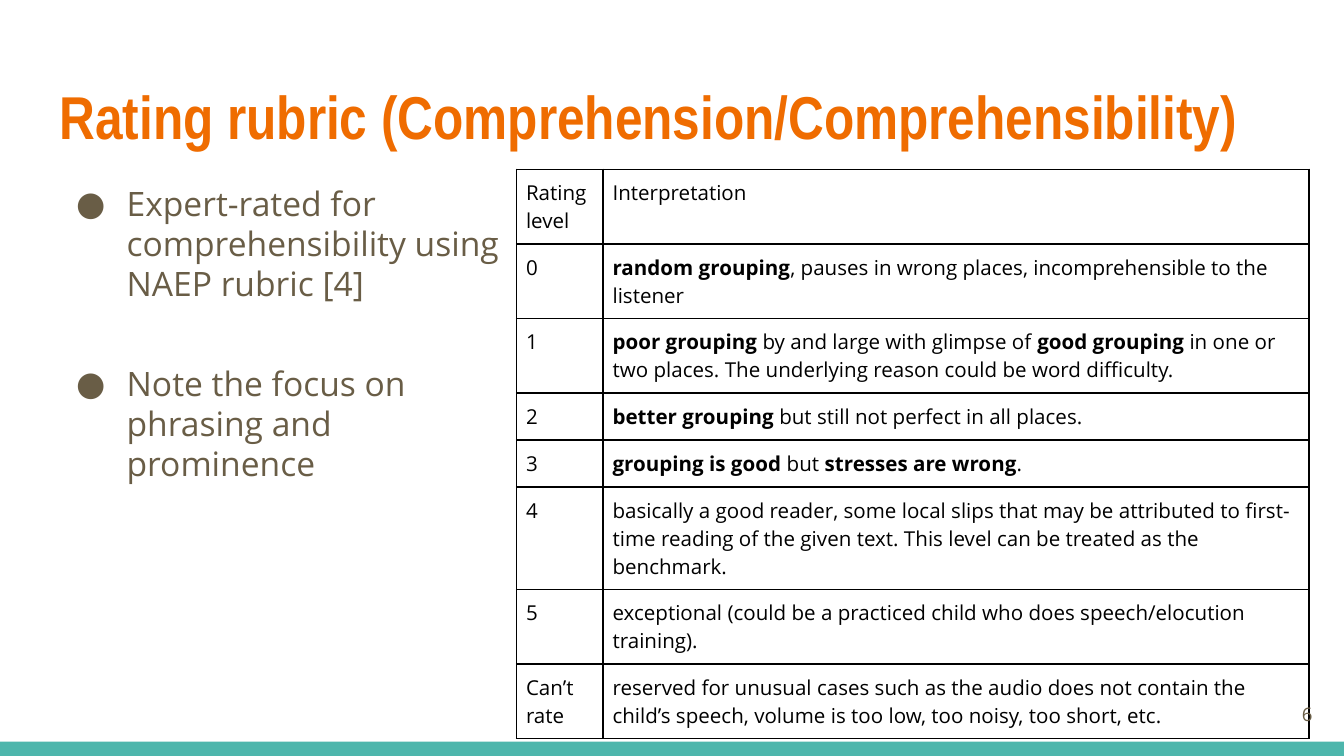
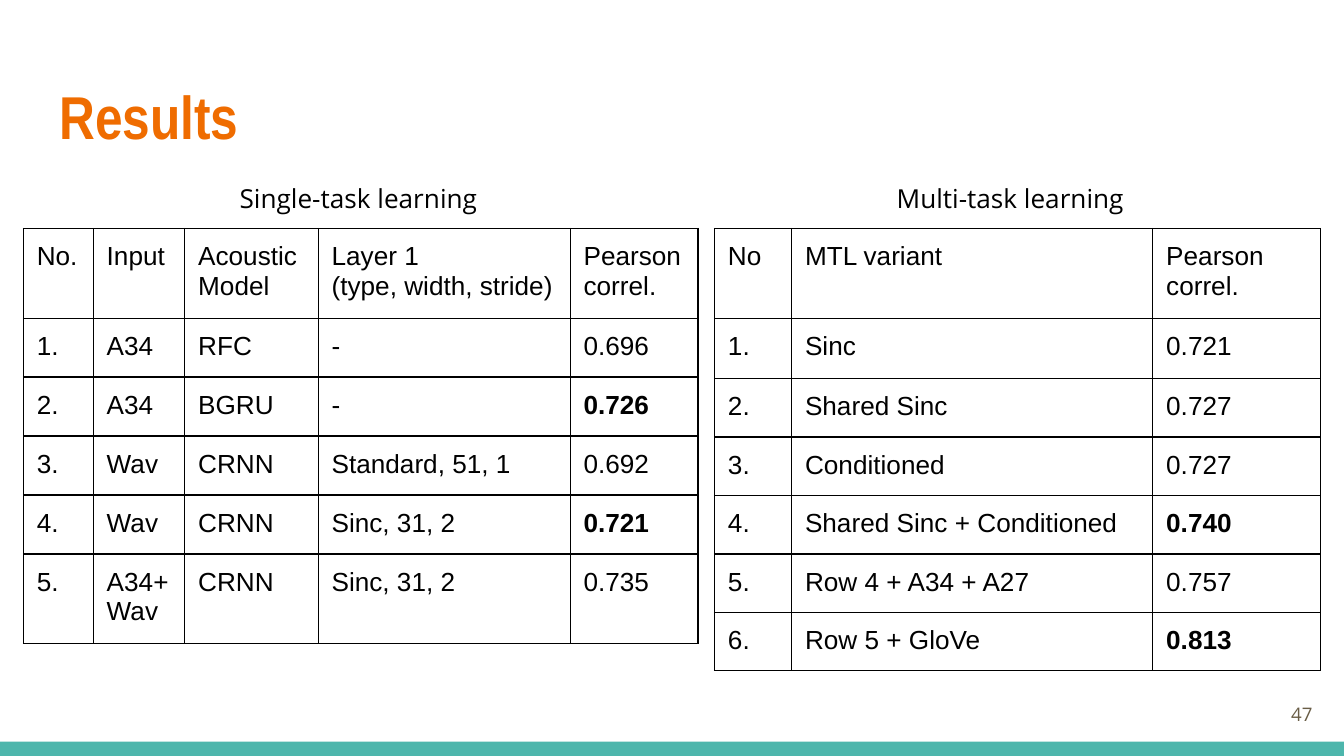
from dataclasses import dataclass

from lxml.etree import SubElement
from pptx import Presentation
from pptx.dml.color import RGBColor
from pptx.enum.shapes import MSO_SHAPE
from pptx.enum.text import MSO_ANCHOR, PP_ALIGN
from pptx.oxml import parse_xml
from pptx.oxml.ns import nsdecls, qn
from pptx.slide import Slide
from pptx.table import _Cell
from pptx.text.text import TextFrame
from pptx.util import Pt

ORANGE = RGBColor(0xEF, 0x6C, 0x00)
TEAL = RGBColor(0x4D, 0xB6, 0xAC)
BROWN = RGBColor(0x69, 0x5D, 0x46)
BLACK = RGBColor(0, 0, 0)
WHITE = RGBColor(0xFF, 0xFF, 0xFF)

TITLE_FONT = "Arial Narrow"
BODY_FONT = "Open Sans"
TABLE_FONT = "Arial"

SLIDE_WIDTH, SLIDE_HEIGHT = 720, 405
BAND_HEIGHT = 7.6
MARGIN = 24.8
CONTENT_TOP = 90.7
RESULTS_TOP = 122.4


@dataclass(frozen=True)
class Box:
    left: float
    top: float
    width: float
    height: float


@dataclass(frozen=True)
class Grid:
    """A bordered table; all lengths are in points."""
    left: float
    top: float
    columns: list[float]
    heights: list[float]
    rows: list[list[str]]
    font: str = TABLE_FONT
    size: float = 14
    inset: float = 7.2
    border: float = 0.75


@dataclass(frozen=True)
class Caption:
    text: str
    left: float


RUBRIC = Grid(
    276.8, CONTENT_TOP, [46.4, 378], [40, 40, 40, 25.1, 25.1, 54.9, 40, 40],
    [
        ["Rating level", "Interpretation"],
        ["0", "**random grouping**, pauses in wrong places, incomprehensible to the listener"],
        ["1", "**poor grouping** by and large with glimpse of **good grouping** in one or "
              "two places. The underlying reason could be word difficulty."],
        ["2", "**better grouping** but still not perfect in all places."],
        ["3", "**grouping is good** but **stresses are wrong**."],
        ["4", "basically a good reader, some local slips that may be attributed to "
              "first-time reading of the given text. This level can be treated as the benchmark."],
        ["5", "exceptional (could be a practiced child who does speech/elocution training)."],
        ["Can’t rate", "reserved for unusual cases such as the audio does not contain the "
                       "child’s speech, volume is too low, too noisy, too short, etc."],
    ],
    font=BODY_FONT, size=11, inset=5, border=1,
)

SINGLE_TASK = Grid(
    12.5, RESULTS_TOP, [37.5, 49, 71.5, 135, 68.5], [46.2, *[31.6] * 4, 46.4],
    [
        ["No.", "Input", "Acoustic Model", "Layer 1\v(type, width, stride)", "Pearson correl."],
        ["1.", "A34", "RFC", "-", "0.696"],
        ["2.", "A34", "BGRU", "-", "**0.726**"],
        ["3.", "Wav", "CRNN", "Standard, 51, 1", "0.692"],
        ["4.", "Wav", "CRNN", "Sinc, 31, 2", "**0.721**"],
        ["5.", "A34+\nWav", "CRNN", "Sinc, 31, 2", "0.735"],
    ],
)

MULTI_TASK = Grid(
    382.8, RESULTS_TOP, [41.3, 193.5, 90], [47.6, 32.4, 31.2, 31.2, 31.5, 31.2, 31.2],
    [
        ["No", "MTL variant", "Pearson correl."],
        ["1.", "Sinc", "0.721"],
        ["2.", "Shared Sinc", "0.727"],
        ["3.", "Conditioned", "0.727"],
        ["4.", "Shared Sinc + Conditioned", "**0.740**"],
        ["5.", "Row 4 + A34 + A27", "0.757"],
        ["6.", "Row 5 + GloVe", "**0.813**"],
    ],
)

CAPTIONS = [Caption("Single-task learning", 121.3), Caption("Multi-task learning", 473.3)]

FOCUS_POINTS = (
    "Expert-rated for comprehensibility using NAEP rubric [4]\n"
    "Note the focus on phrasing and prominence"
)


def write_text(frame: TextFrame, text: str, *, font: str, size: float, color: RGBColor,
               bold: bool = False, align: PP_ALIGN = PP_ALIGN.LEFT,
               anchor: MSO_ANCHOR = MSO_ANCHOR.TOP, inset: float = 7.2,
               bullet: str = "", gap: float = 0) -> None:
    """Write text where ** toggles bold, a newline starts a paragraph and \\v breaks a line."""
    frame.word_wrap = True
    frame.vertical_anchor = anchor
    frame.margin_left = frame.margin_right = Pt(inset)
    frame.margin_top = frame.margin_bottom = Pt(inset)
    for index, content in enumerate(text.split("\n")):
        paragraph = frame.add_paragraph() if index else frame.paragraphs[0]
        paragraph.alignment = align
        paragraph.space_before = Pt(gap if index else 0)
        if bullet:
            properties = paragraph._p.get_or_add_pPr()
            properties.set("marL", str(Pt(36)))
            properties.set("indent", str(Pt(-27)))
            SubElement(properties, qn("a:buFont"), typeface=font)
            SubElement(properties, qn("a:buChar"), char=bullet)
        for part, words in enumerate(content.split("**")):
            for line, piece in enumerate(words.split("\v")):
                if line:
                    paragraph.add_line_break()
                    SubElement(paragraph._p[-1], qn("a:rPr"), sz=str(round(size * 100)))
                if not piece:
                    continue
                run = paragraph.add_run()
                run.text = piece
                run.font.name = font
                run.font.size = Pt(size)
                run.font.color.rgb = color
                run.font.bold = bold or part % 2 == 1


def add_text(slide: Slide, box: Box, text: str, **text_format) -> None:
    label = slide.shapes.add_textbox(Pt(box.left), Pt(box.top), Pt(box.width), Pt(box.height))
    write_text(label.text_frame, text, **text_format)


def set_borders(cell: _Cell, width: float) -> None:
    properties = cell._tc.get_or_add_tcPr()
    for position, side in enumerate(("lnL", "lnR", "lnT", "lnB")):
        properties.insert(position, parse_xml(
            f'<a:{side} {nsdecls("a")} w="{Pt(width)}"><a:solidFill>'
            f'<a:srgbClr val="{BLACK}"/></a:solidFill></a:{side}>'))


def add_grid(slide: Slide, grid: Grid) -> None:
    table = slide.shapes.add_table(
        len(grid.rows), len(grid.columns), Pt(grid.left), Pt(grid.top),
        Pt(sum(grid.columns)), Pt(sum(grid.heights))).table
    table.first_row = table.horz_banding = False
    for column, width in zip(table.columns, grid.columns):
        column.width = Pt(width)
    for row, height, texts in zip(table.rows, grid.heights, grid.rows):
        row.height = Pt(height)
        for cell, text in zip(row.cells, texts):
            cell.fill.background()
            set_borders(cell, grid.border)
            cell.margin_left = cell.margin_right = Pt(grid.inset)
            cell.margin_top = cell.margin_bottom = Pt(grid.inset)
            write_text(cell.text_frame, text, font=grid.font, size=grid.size,
                       color=BLACK, inset=grid.inset)


def add_base_slide(deck: Presentation, title: str) -> Slide:
    """Add a blank slide with its title and the band along the bottom."""
    slide = deck.slides.add_slide(deck.slide_layouts[6])
    slide.background.fill.solid()
    slide.background.fill.fore_color.rgb = WHITE
    band = slide.shapes.add_shape(
        MSO_SHAPE.RECTANGLE, 0, Pt(SLIDE_HEIGHT - BAND_HEIGHT), Pt(SLIDE_WIDTH), Pt(BAND_HEIGHT))
    band.shadow.inherit = False
    band.fill.solid()
    band.fill.fore_color.rgb = TEAL
    band.line.fill.background()
    add_text(slide, Box(MARGIN, 35.3, SLIDE_WIDTH - 2 * MARGIN, 55.4), title,
             font=TITLE_FONT, size=32.4, color=ORANGE, bold=True)
    return slide


def add_page_number(slide: Slide, number: int) -> None:
    add_text(slide, Box(667, 367.2, 43.2, 31), str(number), font=BODY_FONT, size=10,
             color=BROWN, align=PP_ALIGN.RIGHT, anchor=MSO_ANCHOR.MIDDLE)


def add_rubric_slide(deck: Presentation) -> None:
    slide = add_base_slide(deck, "Rating rubric (Comprehension/Comprehensibility)")
    add_text(slide, Box(MARGIN, CONTENT_TOP, 252, 285.8), FOCUS_POINTS, font=BODY_FONT,
             size=18, color=BROWN, bullet="●", gap=31.5)
    add_grid(slide, RUBRIC)
    add_page_number(slide, 6)


def add_results_slide(deck: Presentation) -> None:
    slide = add_base_slide(deck, "Results")
    for grid, caption in zip((SINGLE_TASK, MULTI_TASK), CAPTIONS):
        add_grid(slide, grid)
        add_text(slide, Box(caption.left, CONTENT_TOP, 144, 31.7), caption.text,
                 font=BODY_FONT, size=14, color=BLACK)
    add_page_number(slide, 47)


def main() -> None:
    deck = Presentation()
    deck.slide_width, deck.slide_height = Pt(SLIDE_WIDTH), Pt(SLIDE_HEIGHT)
    add_rubric_slide(deck)
    add_results_slide(deck)
    deck.save("out.pptx")


if __name__ == "__main__":
    main()
